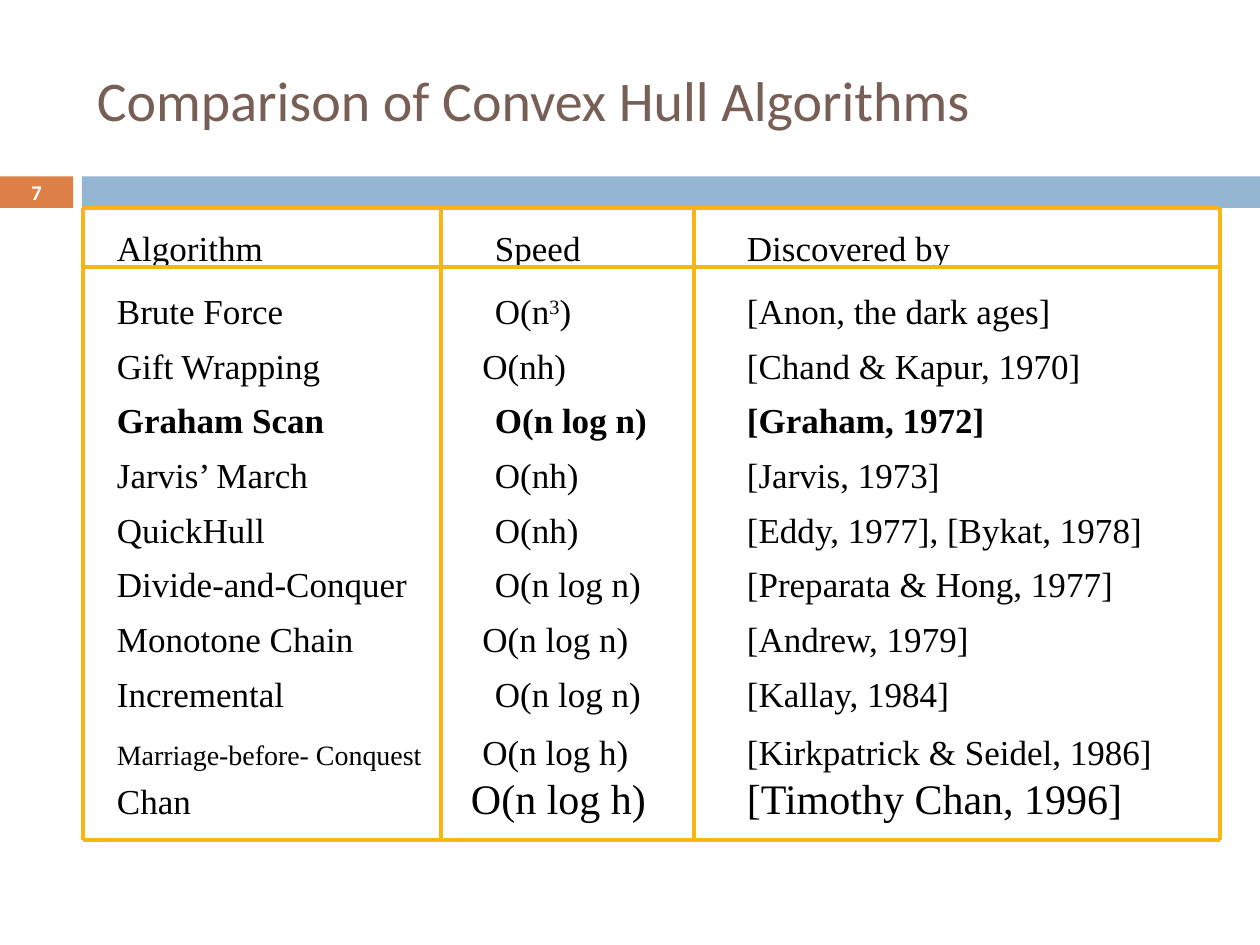
from lxml.etree import SubElement
from pptx import Presentation
from pptx.dml.color import RGBColor
from pptx.enum.shapes import MSO_CONNECTOR as Connector, MSO_SHAPE as Shape
from pptx.enum.text import MSO_ANCHOR as Anchor, PP_ALIGN as Align
from pptx.oxml.ns import qn
from pptx.util import Inches, Pt

ORANGE = RGBColor(0xDD, 0x80, 0x47)
BLUE = RGBColor(0x94, 0xB6, 0xD2)
BROWN = RGBColor(0x77, 0x5F, 0x55)
GOLD = RGBColor(0xF7, 0xB6, 0x15)
BLACK = RGBColor(0, 0, 0)
WHITE = RGBColor(0xFF, 0xFF, 0xFF)
SANS, SERIF = "Calibri", "Times New Roman"

WIDTH, HEIGHT = 10, 7.5
BAND_TOP, BAND_HEIGHT = 1.4, 0.25
NUMBER_WIDTH, BAND_LEFT = 0.58, 0.65
LEFT, RIGHT, TOP, BOTTOM = 0.66, 9.68, 1.65, 6.67
COLUMN_LINES = (LEFT, 3.5, 5.51, RIGHT)
ROW_LINES = (TOP, 2.12, BOTTOM)
SPEED_TAB, SOURCE_TAB = 3, 5

# Algorithm, speed, discoverer, then the format that differs from the usual row
ROWS = [
    ("Algorithm", "Speed", "Discovered by", {"spacing": 1}),
    ("Brute Force", "O(n^3^)", "[Anon, the dark ages]", {"spacing": 1.5}),
    ("Gift Wrapping", "O(nh)", "[Chand & Kapur, 1970]", {"tab": 2.9}),
    ("Graham Scan", "O(n log n)", "[Graham, 1972]", {"bold": True}),
    ("Jarvis’ March", "O(nh)", "[Jarvis, 1973]", {}),
    ("QuickHull", "O(nh)", "[Eddy, 1977], [Bykat, 1978]", {}),
    ("Divide-and-Conquer", "O(n log n)", "[Preparata & Hong, 1977]", {}),
    ("Monotone Chain", "O(n log n)", "[Andrew, 1979]", {"tab": 2.9}),
    ("Incremental", "O(n log n)", "[Kallay, 1984]", {}),
    ("Marriage-before- Conquest", "O(n log h)", "[Kirkpatrick & Seidel, 1986]",
     {"spacing": 1.4, "tab": 2.9, "name_size": 16}),
    ("Chan", "O(n log h)", "[Timothy Chan, 1996]",
     {"spacing": 1, "tab": 2.81, "detail_size": 24}),
]


def write(para, text, size=20, font=SERIF, color=BLACK, bold=False):
    """Add text to a paragraph; parts between ^ marks are raised."""
    for index, part in enumerate(text.split("^")):
        span = para.add_run()
        span.text = part
        span.font.size = Pt(size)
        span.font.name = font
        span.font.color.rgb = color
        span.font.bold = bold
        if index % 2:
            span._r.get_or_add_rPr().set("baseline", "30000")


def add_box(page, left, top, width, height, anchor=Anchor.TOP):
    box = page.shapes.add_textbox(*map(Inches, (left, top, width, height)))
    frame = box.text_frame
    frame.word_wrap = True
    frame.vertical_anchor = anchor
    return frame


def add_band(page, left, width, color):
    band = page.shapes.add_shape(
        Shape.RECTANGLE, *map(Inches, (left, BAND_TOP, width, BAND_HEIGHT)))
    band.shadow.inherit = False
    band.fill.solid()
    band.fill.fore_color.rgb = color
    band.line.fill.background()


def add_rule(page, *ends):
    rule = page.shapes.add_connector(Connector.STRAIGHT, *map(Inches, ends))
    rule.line.color.rgb = GOLD
    rule.line.width = Pt(2.25)
    SubElement(rule._element.spPr, qn("a:effectLst"))


def set_tabs(para, *stops):
    tabs = SubElement(para._p.get_or_add_pPr(), qn("a:tabLst"))
    for stop in stops:
        SubElement(tabs, qn("a:tab"), pos=str(Inches(stop)), algn="l")


def add_row(para, name, speed, source, spacing=1.3, tab=SPEED_TAB,
            name_size=20, detail_size=20, bold=False):
    para.line_spacing = spacing
    para.space_before = Pt(0)
    set_tabs(para, tab, SOURCE_TAB)
    write(para, name, size=name_size, bold=bold)
    write(para, f"\t{speed}\t{source}", size=detail_size, bold=bold)


def add_comparison(page):
    frame = add_box(page, 0.83, 1.75, 9, 5.28)
    for index, (name, speed, source, look) in enumerate(ROWS):
        para = frame.add_paragraph() if index else frame.paragraphs[0]
        add_row(para, name, speed, source, **look)
    for y in ROW_LINES:
        add_rule(page, LEFT, y, RIGHT, y)
    for x in COLUMN_LINES:
        add_rule(page, x, TOP, x, BOTTOM)


def main():
    deck = Presentation()
    deck.slide_width, deck.slide_height = Inches(WIDTH), Inches(HEIGHT)
    page = deck.slides.add_slide(deck.slide_layouts[6])

    add_band(page, 0, NUMBER_WIDTH, ORANGE)
    add_band(page, BAND_LEFT, WIDTH - BAND_LEFT, BLUE)
    title = add_box(page, 0.67, 0.25, 8.92, 1.08, anchor=Anchor.MIDDLE)
    write(title.paragraphs[0], "Comparison of Convex Hull Algorithms",
          size=32, font=SANS, color=BROWN)
    add_comparison(page)

    number = add_box(page, 0, BAND_TOP, NUMBER_WIDTH, BAND_HEIGHT,
                     anchor=Anchor.MIDDLE)
    number.paragraphs[0].alignment = Align.CENTER
    write(number.paragraphs[0], "7", size=11.9, font=SANS, color=WHITE, bold=True)

    deck.save("out.pptx")


if __name__ == "__main__":
    main()
